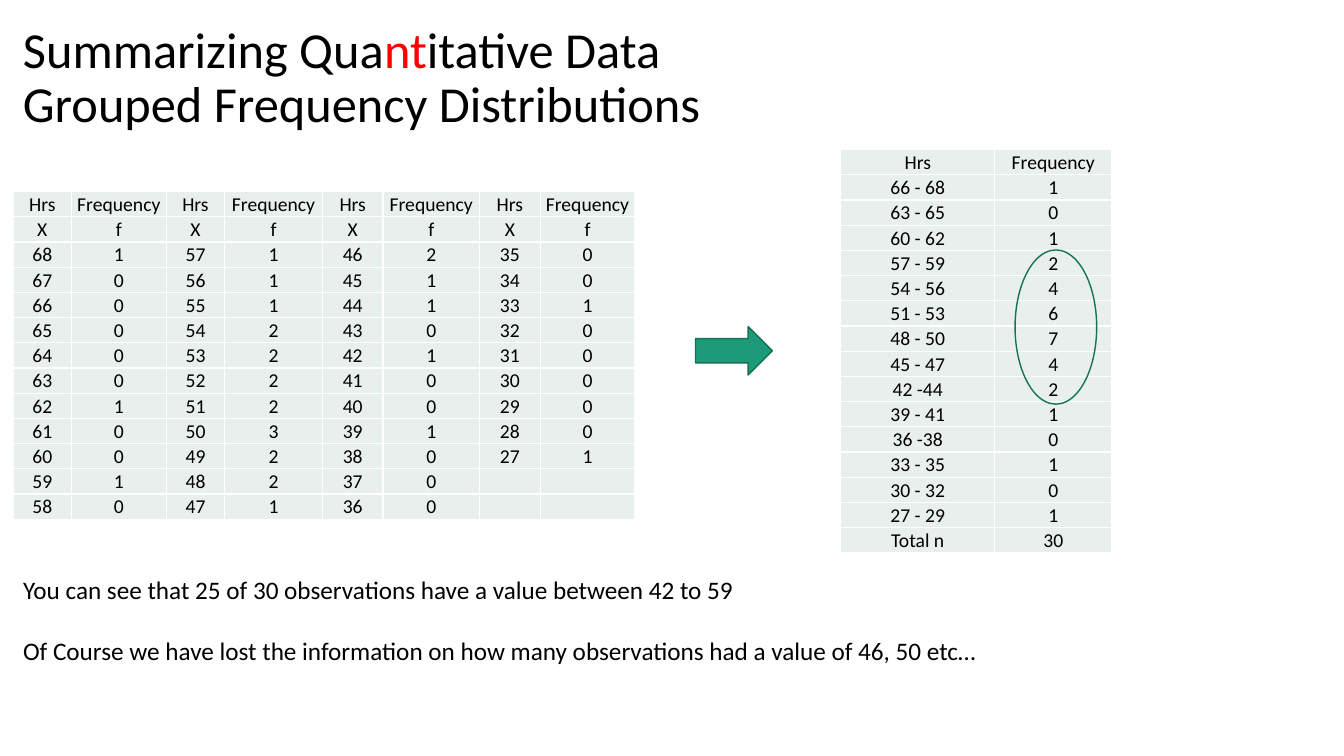
from dataclasses import dataclass

from lxml import etree
from pptx import Presentation
from pptx.dml.color import RGBColor
from pptx.enum.shapes import MSO_SHAPE
from pptx.enum.text import MSO_ANCHOR, PP_ALIGN
from pptx.oxml.ns import qn
from pptx.shapes.autoshape import Shape
from pptx.slide import Slide
from pptx.table import _Cell
from pptx.text.text import Font, TextFrame
from pptx.util import Pt

ARROW = MSO_SHAPE.RIGHT_ARROW
ELLIPSE = MSO_SHAPE.OVAL
MIDDLE = MSO_ANCHOR.MIDDLE
BOTTOM = MSO_ANCHOR.BOTTOM
CENTER = PP_ALIGN.CENTER


@dataclass(frozen=True)
class Theme:
    font: str = "Calibri"
    title_size: int = 36
    body_size: int = 18
    cell_size: int = 14
    text: str = "000000"
    accent: str = "FF0000"
    cell_fill: str = "E8EFEC"
    border: str = "FFFFFF"
    arrow_fill: str = "1D9A78"
    outline: str = "157259"


@dataclass(frozen=True)
class Area:
    left: float
    top: float
    width: float
    height: float

    def lengths(self) -> list[Pt]:
        return [Pt(value) for value in (self.left, self.top, self.width, self.height)]


@dataclass(frozen=True)
class Grid:
    left: float
    top: float
    widths: list[float]
    rows: list[list[str]]


@dataclass(frozen=True)
class Mark:
    kind: MSO_SHAPE
    area: Area
    fill: str | None = None


THEME = Theme()
ROW_HEIGHT = 18
VALUES_PER_BLOCK = 11
HIGHEST_HOURS = 68
HOUR_FREQUENCIES = [
    "10000010010",
    "11122223221",
    "21101001000",
    "001000001",
]
GROUPED_ROWS = [
    ["Hrs", "Frequency"],
    ["66 - 68", "1"],
    ["63 - 65", "0"],
    ["60 - 62", "1"],
    ["57 - 59", "2"],
    ["54 - 56", "4"],
    ["51 - 53", "6"],
    ["48 - 50", "7"],
    ["45 - 47", "4"],
    ["42 -44", "2"],
    ["39 - 41", "1"],
    ["36 -38", "0"],
    ["33 - 35", "1"],
    ["30 - 32", "0"],
    ["27 - 29", "1"],
    ["Total n", "30"],
]
TITLE_AREA = Area(9.36, 4.32, 828, 104.4)
TITLE_LINES = [
    [("Summarizing Qua", THEME.text), ("nt", THEME.accent), ("itative Data", THEME.text)],
    [("Grouped Frequency Distributions", THEME.text)],
]
REMARK_AREA = Area(9.36, 406.8, 790.56, 72.72)
REMARKS = [
    "You can see that 25 of 30 observations have a value between 42 to 59",
    "Of Course we have lost the information on how many observations had a value of 46, 50 etc…",
]
MARKS = [
    Mark(ARROW, Area(496.8, 233.28, 54.9, 34.56), THEME.arrow_fill),
    Mark(ELLIPSE, Area(725.04, 178.56, 58.32, 110.16)),
]


def hour_rows() -> list[list[str]]:
    blocks = len(HOUR_FREQUENCIES)
    rows = [["Hrs", "Frequency"] * blocks, ["X", "f"] * blocks]
    for index in range(VALUES_PER_BLOCK):
        row = []
        for block, counts in enumerate(HOUR_FREQUENCIES):
            hours = HIGHEST_HOURS - block * VALUES_PER_BLOCK - index
            row += [str(hours), counts[index]] if index < len(counts) else ["", ""]
        rows.append(row)
    return rows


def style_font(font: Font, size: int, color: str = THEME.text) -> None:
    font.name = THEME.font
    font.size = Pt(size)
    font.color.rgb = RGBColor.from_string(color)


def add_text_frame(page: Slide, area: Area) -> TextFrame:
    frame = page.shapes.add_textbox(*area.lengths()).text_frame
    frame.word_wrap = True
    return frame


def add_title(page: Slide) -> None:
    frame = add_text_frame(page, TITLE_AREA)
    frame.vertical_anchor = MIDDLE
    para = frame.paragraphs[0]
    para.line_spacing = 0.9
    for index, line in enumerate(TITLE_LINES):
        if index:
            para.add_line_break()
        for text, color in line:
            span = para.add_run()
            span.text = text
            style_font(span.font, THEME.title_size, color)


def add_remarks(page: Slide) -> None:
    frame = add_text_frame(page, REMARK_AREA)
    frame.text = "\n".join(REMARKS)
    for index, para in enumerate(frame.paragraphs):
        if index:
            para.space_before = Pt(22)
        style_font(para.runs[0].font, THEME.body_size)


def add_borders(cell: _Cell) -> None:
    properties = cell._tc.get_or_add_tcPr()
    for side in ("a:lnL", "a:lnR", "a:lnT", "a:lnB"):
        line = etree.SubElement(properties, qn(side), w=str(Pt(1)))
        fill = etree.SubElement(line, qn("a:solidFill"))
        etree.SubElement(fill, qn("a:srgbClr"), val=THEME.border)


def fill_cell(cell: _Cell, text: str) -> None:
    cell.margin_left = cell.margin_right = cell.margin_top = Pt(0.72)
    cell.margin_bottom = Pt(0)
    cell.vertical_anchor = BOTTOM
    add_borders(cell)
    cell.fill.solid()
    cell.fill.fore_color.rgb = RGBColor.from_string(THEME.cell_fill)
    para = cell.text_frame.paragraphs[0]
    para.text = text
    para.alignment = CENTER
    for span in para.runs:
        style_font(span.font, THEME.cell_size)
    etree.SubElement(para._p, qn("a:endParaRPr"), sz=str(THEME.cell_size * 100))


def add_grid(page: Slide, grid: Grid) -> None:
    area = Area(grid.left, grid.top, sum(grid.widths), ROW_HEIGHT * len(grid.rows))
    table = page.shapes.add_table(len(grid.rows), len(grid.widths), *area.lengths()).table
    table.first_row = False
    table.horz_banding = False
    for column, width in zip(table.columns, grid.widths):
        column.width = Pt(width)
    for row, texts in zip(table.rows, grid.rows):
        row.height = Pt(ROW_HEIGHT)
        for cell, text in zip(row.cells, texts):
            fill_cell(cell, text)


def add_mark(page: Slide, mark: Mark) -> Shape:
    shape = page.shapes.add_shape(mark.kind, *mark.area.lengths())
    shape.shadow.inherit = False
    if mark.fill:
        shape.fill.solid()
        shape.fill.fore_color.rgb = RGBColor.from_string(mark.fill)
    else:
        shape.fill.background()
    shape.line.color.rgb = RGBColor.from_string(THEME.outline)
    shape.line.width = Pt(1)
    return shape


def main() -> None:
    deck = Presentation()
    deck.slide_width, deck.slide_height = Pt(960), Pt(540)
    page = deck.slides.add_slide(deck.slide_layouts[6])
    add_title(page)
    hour_widths = [41.76, 67.68, 41.76, 69.84, 43.2, 69.12, 43.2, 67.68]
    add_grid(page, Grid(9.36, 136.8, hour_widths, hour_rows()))
    add_remarks(page)
    add_grid(page, Grid(600.48, 106.8, [110.16, 83.52], GROUPED_ROWS))
    for mark in MARKS:
        add_mark(page, mark)
    deck.save("out.pptx")


if __name__ == "__main__":
    main()
